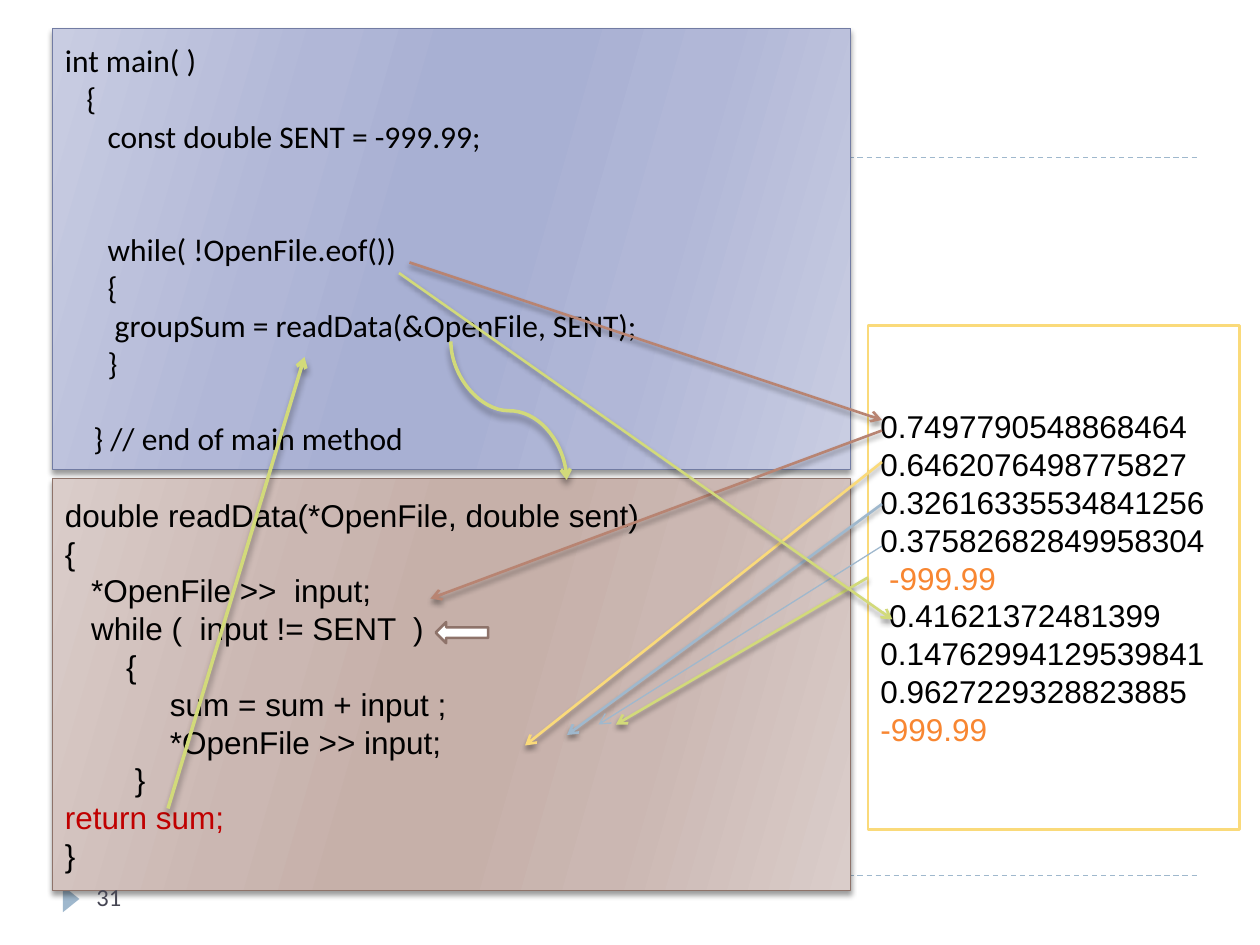
"""Builds a slide that traces a main method and its readData function through a data file."""
from lxml import etree
from pptx import Presentation
from pptx.dml.color import RGBColor
from pptx.enum import dml, shapes, text
from pptx.oxml import ns
from pptx.util import Pt

BLACK = RGBColor(0x00, 0x00, 0x00)
WHITE = RGBColor(0xFF, 0xFF, 0xFF)
SLATE = RGBColor(0x46, 0x46, 0x53)
RED = RGBColor(0xC0, 0x00, 0x00)
ORANGE = RGBColor(0xF8, 0x86, 0x31)
NAVY = RGBColor(0x72, 0x7C, 0xA3)
BROWN = RGBColor(0x8E, 0x73, 0x6A)
CLAY = RGBColor(0xB8, 0x84, 0x72)
YELLOW = RGBColor(0xFA, 0xDA, 0x7A)
LIME = RGBColor(0xD2, 0xDA, 0x7A)
SKY = RGBColor(0x9F, 0xB8, 0xCD)
BLUES = [RGBColor(0xC9, 0xCD, 0xE2), RGBColor(0xB1, 0xB7, 0xD7), RGBColor(0xA8, 0xB0, 0xD3)]
TANS = [RGBColor(0xDA, 0xCD, 0xCA), RGBColor(0xCB, 0xB7, 0xB2), RGBColor(0xC6, 0xB0, 0xA9)]

STOPS = (0, 30, 45, 55, 73, 100)
LINE_PITCH = 21.6
SPACE_WIDTH = {"Calibri": 4.07, "Arial": 5}


def child(parent, tag, **attributes):
    """Append a DrawingML element."""
    element = etree.SubElement(parent, ns.qn("a:" + tag))
    for key, value in attributes.items():
        element.set(key, str(value))
    return element


class Board:
    """Holds the style and the current slide."""

    def __init__(self, slide, size=18):
        self.slide = slide
        self.size = size

    def shadow(self, element, blur=3, distance=2):
        effects = element.spPr.find(ns.qn("a:effectLst"))
        if effects is None:
            effects = child(element.spPr, "effectLst")
        if blur:
            outer = child(effects, "outerShdw", blurRad=Pt(blur), dist=Pt(distance),
                          dir=90 * 60000, rotWithShape=0)
            child(child(outer, "srgbClr", val=BLACK), "alpha", val=40000)

    def gradient(self, shape, tones):
        fill = etree.Element(ns.qn("a:gradFill"), rotWithShape="1")
        stops = child(fill, "gsLst")
        for position, tone in zip(STOPS, tones + tones[::-1]):
            child(child(stops, "gs", pos=position * 1000), "srgbClr", val=tone)
        child(fill, "lin", ang=16 * 60000, scaled=0)
        properties = shape._element.spPr
        properties.replace(properties.find(ns.qn("a:solidFill")), fill)

    def shape(self, kind, box, fill, outline=None, width=0.75):
        shape = self.slide.shapes.add_shape(kind, *map(Pt, box))
        shape.shadow.inherit = False
        shape.fill.solid()
        if isinstance(fill, list):
            self.gradient(shape, fill)
            self.shadow(shape._element)
        else:
            shape.fill.fore_color.rgb = fill
        if outline is None:
            shape.line.fill.background()
        else:
            shape.line.color.rgb = outline
            shape.line.width = Pt(width)
        return shape

    def run(self, paragraph, words, font, size, colour):
        run = paragraph.add_run()
        run.text = words
        for key, value in {"name": font, "size": Pt(size)}.items():
            setattr(run.font, key, value)
        run.font.color.rgb = colour

    def panel(self, box, fill, outline, font, rows, width=0.75):
        """Each row is (leading spaces, blank lines above, text, colour)."""
        panel = self.shape(shapes.MSO_SHAPE.RECTANGLE, box, fill, outline, width)
        frame = panel.text_frame
        frame.word_wrap = True
        frame.vertical_anchor = text.MSO_ANCHOR.MIDDLE
        for number, (spaces, blanks, words, colour) in enumerate(rows):
            row = frame.add_paragraph() if number else frame.paragraphs[0]
            layout = {"alignment": text.PP_ALIGN.LEFT, "line_spacing": Pt(LINE_PITCH),
                      "space_before": Pt(blanks * LINE_PITCH)}
            for key, value in layout.items():
                setattr(row, key, value)
            row._p.get_or_add_pPr().set("indent", str(Pt(spaces * SPACE_WIDTH[font])))
            self.run(row, words, font, self.size, colour)
        return panel

    def label(self, box, words, font, size, colour):
        label = self.slide.shapes.add_textbox(*map(Pt, box))
        label.text_frame.word_wrap = True
        self.run(label.text_frame.paragraphs[0], words, font, size, colour)

    def line(self, start, end, colour, width=0.75, kind=shapes.MSO_CONNECTOR.STRAIGHT,
             dash=None, arrow=True, shadow=(3, 2)):
        line = self.slide.shapes.add_connector(kind, *map(Pt, start + end))
        line.line.color.rgb = colour
        line.line.width = Pt(width)
        if dash:
            line.line.dash_style = dash
        if arrow:
            child(line._element.spPr.find(ns.qn("a:ln")), "tailEnd", type="arrow")
        self.shadow(line._element, *shadow)
        return line


def main():
    deck = Presentation()
    deck.slide_width, deck.slide_height = Pt(720), Pt(540)
    board = Board(deck.slides.add_slide(deck.slide_layouts[6]))

    for y in (500.4, 90):
        board.line((36, y), (684, y), SKY, dash=dml.MSO_LINE.DASH, arrow=False, shadow=(0, 0))
    page_marker = board.shape(shapes.MSO_SHAPE.ISOSCELES_TRIANGLE, (33.1, 509, 15.1, 9.4), SKY)
    page_marker.rotation = 90

    board.panel((30, 16.5, 456, 252), BLUES, NAVY, "Calibri", [
        (0, 0, "int main( )", BLACK),
        (3, 0, "{", BLACK),
        (6, 0, "const double SENT = -999.99;", BLACK),
        (6, 2, "while( !OpenFile.eof())", BLACK),
        (6, 0, "{", BLACK),
        (7, 0, "groupSum = readData(&OpenFile, SENT);", BLACK),
        (6, 0, "}", BLACK),
        (4, 1, "} // end of main method", BLACK)])
    data_file = board.panel((496, 186, 212.4, 288), WHITE, YELLOW, "Arial", [
        (0, 0, "0.7497790548868464 0.6462076498775827 "
               "0.32616335534841256 0.37582682849958304", BLACK),
        (1, 0, "-999.99", ORANGE),
        (1, 0, "0.41621372481399 0.14762994129539841 0.9627229328823885", BLACK),
        (0, 0, "-999.99", ORANGE)], width=1.5)
    board.panel((30, 273.6, 456, 235.4), TANS, BROWN, "Arial", [
        (0, 0, "double readData(*OpenFile, double sent)", BLACK),
        (0, 0, "{", BLACK),
        (3, 0, "*OpenFile >>  input;", BLACK),
        (3, 0, "while (  input != SENT  )", BLACK),
        (7, 0, "{", BLACK),
        (12, 0, "sum = sum + input ;", BLACK),
        (12, 0, "*OpenFile >> input;", BLACK),
        (8, 0, "}", BLACK),
        (0, 0, "return sum;", RED),
        (0, 0, "}", BLACK)])

    board.line((234, 150), (504, 240), CLAY, 1.5)
    call = board.line((330.3, 201.6), (251.1, 267.8), LIME, 2,
                      kind=shapes.MSO_CONNECTOR.CURVE, shadow=(4, 3.4))
    call._element.spPr.find(ns.qn("a:xfrm")).set("rot", str(270 * 60000))
    board.line((504, 246), (246, 342), CLAY, 1.5)
    board.line((504, 264), (300, 426), YELLOW, 1.5)
    board.line((504, 288), (324, 420), SKY, 1.5)
    board.line((504, 312), (342, 414), SKY, shadow=(0, 0))
    sentinel = board.line((496, 330), (352, 414), LIME, 1.5)
    sentinel.begin_connect(data_file, 1)
    board.line((228, 156), (510, 354), LIME, 1.5)
    board.line((96, 462), (174, 204), LIME, 2, shadow=(4, 3.4))

    board.shape(shapes.MSO_SHAPE.LEFT_ARROW, (249, 355.5, 30, 12), WHITE, BROWN, 1.5)
    board.label((48, 500.4, 156, 28.8), "31", "Calibri", 14, SLATE)
    deck.save("out.pptx")


if __name__ == "__main__":
    main()
